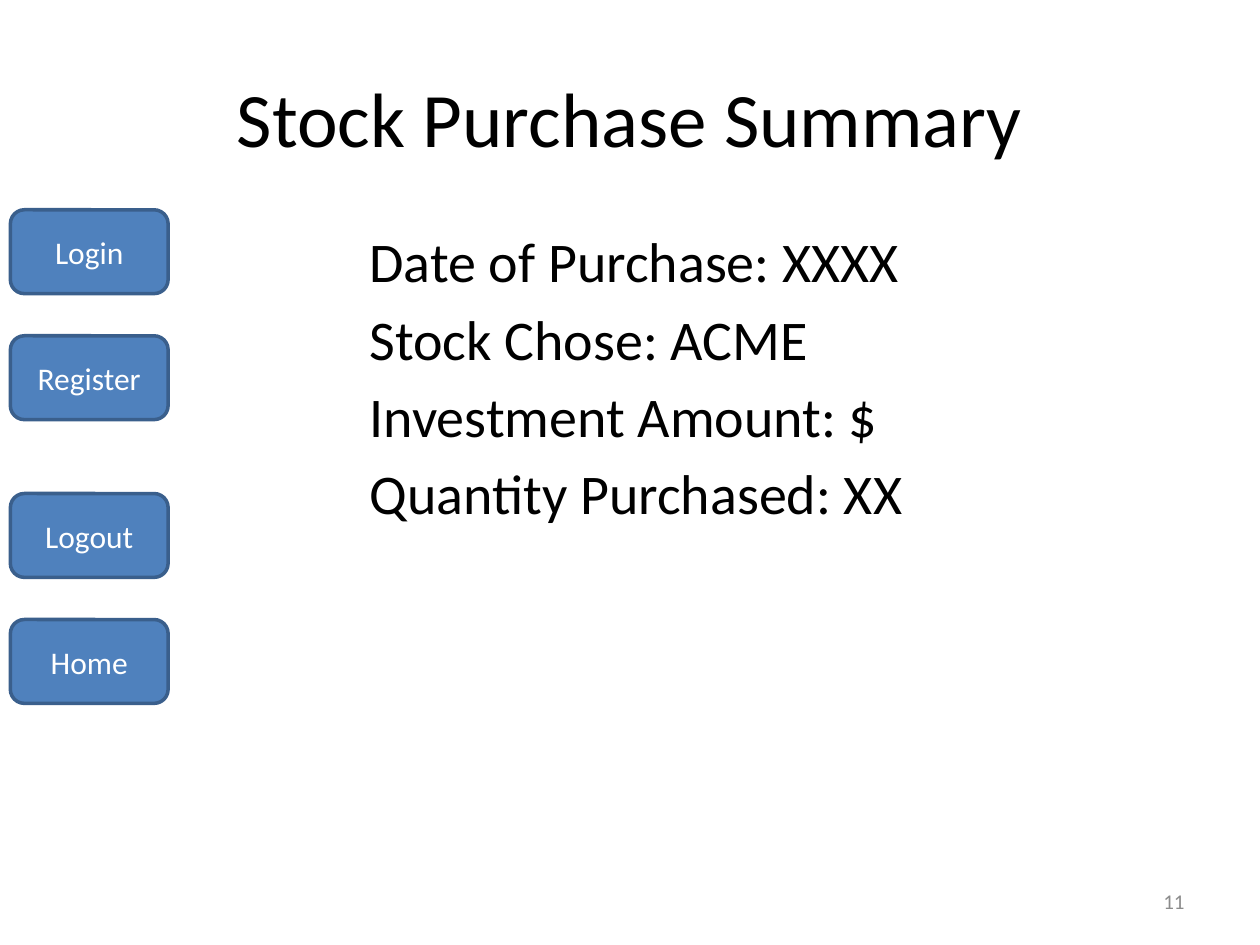
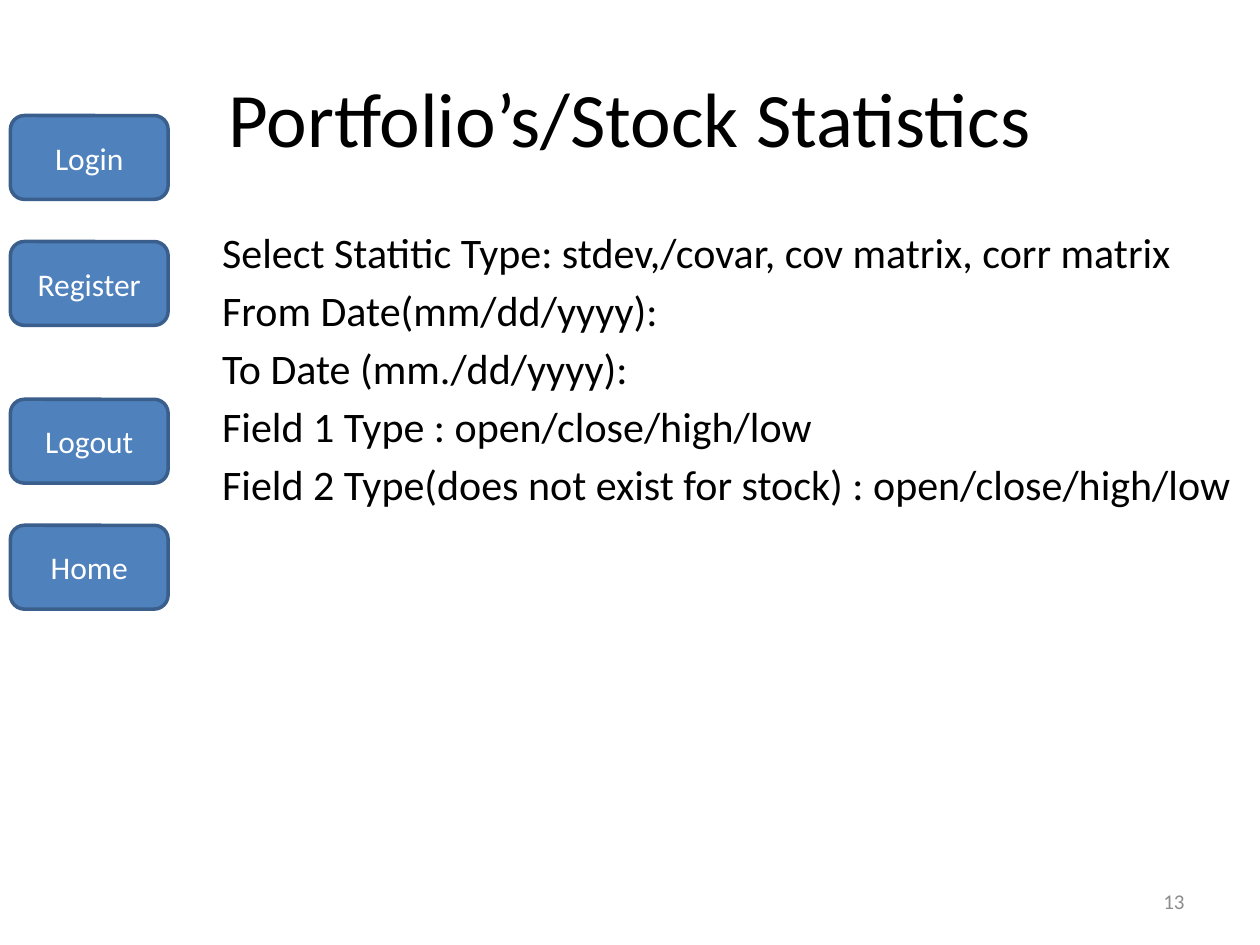
from dataclasses import dataclass

from pptx import Presentation
from pptx.dml.color import RGBColor
from pptx.enum.shapes import MSO_SHAPE
from pptx.enum.text import MSO_ANCHOR, PP_ALIGN
from pptx.util import Cm, Pt


@dataclass(frozen=True)
class Theme:
    """Colours, font and type sizes shared by the slides."""

    font: str = "Calibri"
    ink: str = "000000"
    muted: str = "8C8C8C"
    button_fill: str = "4F81BD"
    button_line: str = "3A5F8C"
    button_ink: str = "FFFFFF"
    title_size: int = 44
    button_size: int = 18
    number_size: int = 12
    spacing_ratio: float = 0.18


THEME = Theme()
MENU_GROUPS = (("Login", "Register"), ("Logout", "Home"))
BUTTON_PITCH = 2.54
GROUP_GAP = 0.64


def write_text(frame, *lines, size, color=THEME.ink, align=PP_ALIGN.LEFT,
               anchor=MSO_ANCHOR.TOP, space_before=0, hanging=0):
    """Fill a text frame with one formatted paragraph per line."""
    frame.word_wrap = True
    frame.vertical_anchor = anchor
    frame.text = "\n".join(lines)
    for paragraph in frame.paragraphs:
        paragraph.alignment = align
        paragraph.space_before = Pt(space_before)
        if hanging:
            properties = paragraph._p.get_or_add_pPr()
            properties.set("marL", str(Cm(hanging)))
            properties.set("indent", str(-Cm(hanging)))
        font = paragraph.font
        font.name = THEME.font
        font.size = Pt(size)
        font.color.rgb = RGBColor.from_string(color)


def add_title(slide, title):
    """Place and format the title placeholder."""
    heading = slide.shapes.title
    heading.left, heading.top = Cm(1.27), Cm(0.76)
    heading.width, heading.height = Cm(22.86), Cm(3.18)
    write_text(heading.text_frame, title, size=THEME.title_size,
               align=PP_ALIGN.CENTER, anchor=MSO_ANCHOR.MIDDLE)


def add_details(slide, details, left, width, size):
    """Add the list of detail lines."""
    body = slide.shapes.add_textbox(Cm(left), Cm(4.45), Cm(width), Cm(12.57))
    write_text(body.text_frame, *details, size=size, hanging=0.95,
               space_before=size * THEME.spacing_ratio)


def add_page_number(slide, number):
    """Add the page number at the bottom right."""
    footer = slide.shapes.add_textbox(Cm(18.2), Cm(17.66), Cm(5.93), Cm(1.01))
    write_text(footer.text_frame, str(number), size=THEME.number_size,
               color=THEME.muted, align=PP_ALIGN.RIGHT,
               anchor=MSO_ANCHOR.MIDDLE)


def add_button(slide, label, top):
    """Add one rounded menu button."""
    button = slide.shapes.add_shape(MSO_SHAPE.ROUNDED_RECTANGLE, Cm(0.21),
                                    Cm(top), Cm(3.18), Cm(1.69))
    button.shadow.inherit = False
    button.fill.solid()
    button.fill.fore_color.rgb = RGBColor.from_string(THEME.button_fill)
    button.line.color.rgb = RGBColor.from_string(THEME.button_line)
    button.line.width = Pt(2)
    write_text(button.text_frame, label, size=THEME.button_size,
               color=THEME.button_ink, align=PP_ALIGN.CENTER,
               anchor=MSO_ANCHOR.MIDDLE)


def add_menu(slide, top):
    """Stack the menu buttons, with a wider gap between groups."""
    for group in MENU_GROUPS:
        for label in group:
            add_button(slide, label, top)
            top += BUTTON_PITCH
        top += GROUP_GAP


def add_screen(deck, title, details, number, menu_top, **body_format):
    """Add one screen with its title, details, page number and menu."""
    slide = deck.slides.add_slide(deck.slide_layouts[5])
    add_title(slide, title)
    add_details(slide, details, **body_format)
    add_page_number(slide, number)
    add_menu(slide, menu_top)


def main():
    """Build and save the deck."""
    deck = Presentation()
    deck.slide_width, deck.slide_height = Cm(25.4), Cm(19.05)
    add_screen(
        deck, "Stock Purchase Summary",
        ("Date of Purchase: XXXX",
         "Stock Chose: ACME",
         "Investment Amount: $",
         "Quantity Purchased: XX"),
        number=11, menu_top=4.23, left=7.2, width=15.03, size=32)
    add_screen(
        deck, "Portfolio’s/Stock Statistics",
        ("Select Statitic Type: stdev,/covar, cov matrix, corr matrix",
         "From Date(mm/dd/yyyy):",
         "To Date (mm./dd/yyyy):",
         "Field 1 Type : open/close/high/low",
         "Field 2 Type(does not exist for stock) : open/close/high/low"),
        number=13, menu_top=2.33, left=4.23, width=21.17, size=24)
    deck.save("out.pptx")


if __name__ == "__main__":
    main()
